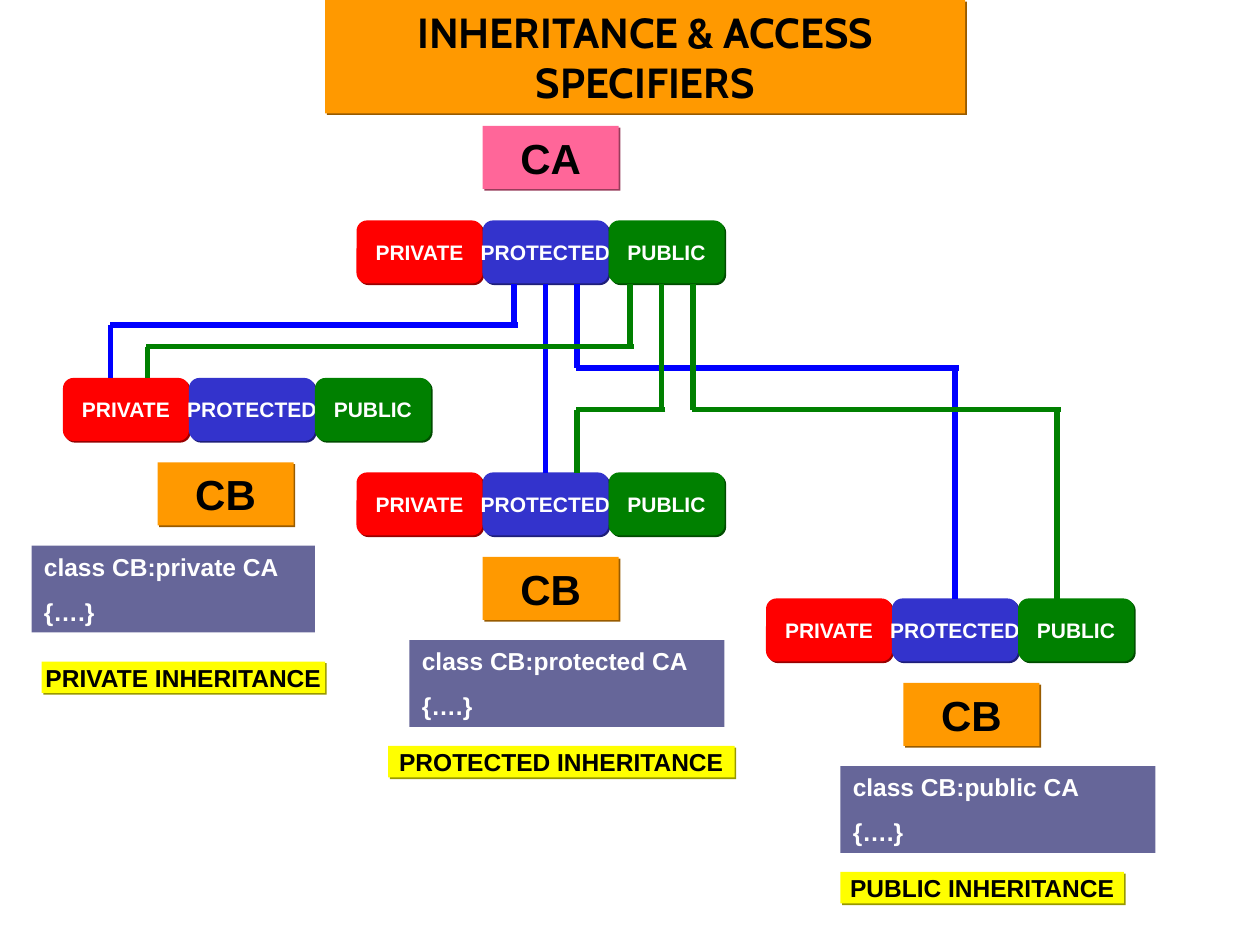
from lxml import etree
from pptx import Presentation
from pptx.dml.color import RGBColor
from pptx.enum.shapes import MSO_CONNECTOR, MSO_SHAPE
from pptx.enum.text import MSO_ANCHOR, MSO_AUTO_SIZE, PP_ALIGN
from pptx.oxml.ns import qn
from pptx.util import Inches, Pt

RECTANGLE = MSO_SHAPE.RECTANGLE
ROUNDED = MSO_SHAPE.ROUNDED_RECTANGLE
STRAIGHT = MSO_CONNECTOR.STRAIGHT
LEFT, CENTER = PP_ALIGN.LEFT, PP_ALIGN.CENTER
TOP, MIDDLE = MSO_ANCHOR.TOP, MSO_ANCHOR.MIDDLE
FIT_SHAPE = MSO_AUTO_SIZE.SHAPE_TO_FIT_TEXT
TOP_SIDE, BOTTOM_SIDE = 0, 2

COLORS = {
    "private": "FF0000", "protected": "3333CC", "public": "008000",
    "base": "FF6699", "derived": "FF9900", "code": "666699",
    "banner": "FFFF00", "protected link": "0000FF", "public link": "008000",
    "dark": "000000", "light": "FFFFFF",
}
ACCESS_WIDTHS = {"private": 1, "protected": 1, "public": 0.92}


def darken(color, factor=0.597):
    channels = [int(color[i:i + 2], 16) for i in (0, 2, 4)]
    return "".join(f"{int(channel * factor):02X}" for channel in channels)


def write_text(shape, text, *, size, color="dark", font="Arial", align=CENTER,
               anchor=MIDDLE, before=0, wrap=False, fit=False):
    frame = shape.text_frame
    frame.word_wrap = wrap
    frame.vertical_anchor = anchor
    if fit:
        frame.auto_size = FIT_SHAPE
    frame.text = text
    for paragraph in frame.paragraphs:
        paragraph.alignment = align
        paragraph.space_before = Pt(before)
        paragraph.font.size = Pt(size)
        paragraph.font.name = font
        paragraph.font.bold = True
        paragraph.font.color.rgb = RGBColor.from_string(COLORS[color])


class InheritanceDiagram:
    def __init__(self, slide):
        self.slide = slide

    def box(self, kind, left, top, width, height, fill, shadow=True):
        shape = self.slide.shapes.add_shape(
            kind, Inches(left), Inches(top), Inches(width), Inches(height))
        shape.fill.solid()
        shape.fill.fore_color.rgb = RGBColor.from_string(COLORS[fill])
        shape.line.fill.background()
        shape.shadow.inherit = False
        if shadow:
            effects = shape._element.spPr.find(qn("a:effectLst"))
            outer = etree.SubElement(effects, qn("a:outerShdw"), dist=str(Pt(1.4)),
                                     dir="2700000", algn="ctr", rotWithShape="0")
            etree.SubElement(outer, qn("a:srgbClr"), val=darken(COLORS[fill]))
        return shape

    def title(self, text):
        shape = self.box(RECTANGLE, 2.58, 0, 5.08, 0.9, "derived")
        write_text(shape, text, size=24, font="Cabin", anchor=TOP, before=15,
                   wrap=True, fit=True)

    def access_row(self, left, top):
        row = {}
        for access, width in ACCESS_WIDTHS.items():
            row[access] = self.box(ROUNDED, left, top, width, 0.5, access)
            write_text(row[access], access.upper(), size=12, color="light")
            left += width
        return row

    def class_name(self, text, left, top, fill):
        shape = self.box(RECTANGLE, left, top, 1.08, 0.5, fill)
        write_text(shape, text, size=24)

    def code(self, access, left, top, width):
        shape = self.box(RECTANGLE, left, top, width, 0.69, "code", shadow=False)
        write_text(shape, f"class CB:{access} CA\n{{….}}", size=14, color="light",
                   align=LEFT, anchor=TOP, before=8.8, wrap=True, fit=True)

    def banner(self, access, left, top, width):
        shape = self.box(RECTANGLE, left, top, width, 0.25, "banner")
        write_text(shape, f"{access.upper()} INHERITANCE", size=14)

    def line(self, start, end, color):
        connector = self.slide.shapes.add_connector(
            STRAIGHT, *(Inches(value) for value in (*start, *end)))
        connector.line.color.rgb = RGBColor.from_string(COLORS[color])
        connector.line.width = Pt(3)
        etree.SubElement(connector._element.spPr, qn("a:effectLst"))
        return connector

    def elbow(self, start_x, top, bend, end_x, bottom, color):
        """Down, across and down; the crossbar overhangs to close its corners."""
        self.line((start_x, top), (start_x, bend), color)
        self.line((max(start_x, end_x) + 0.03, bend),
                  (min(start_x, end_x) - 0.01, bend), color)
        return self.line((end_x, bend), (end_x, bottom), color)


def main():
    presentation = Presentation()
    presentation.slide_width, presentation.slide_height = Inches(10), Inches(7.5)
    slide = presentation.slides.add_slide(presentation.slide_layouts[6])
    diagram = InheritanceDiagram(slide)

    # Base class
    diagram.title("INHERITANCE & ACCESS SPECIFIERS")
    diagram.class_name("CA", 3.83, 1, "base")
    base = diagram.access_row(2.83, 1.75)

    # Derived classes: positions of row, name, code and banner
    derived = {}
    for access, row, name, code, banner in (
        ("private", (0.5, 3), (1.25, 3.67), (0.25, 4.33, 2.25), (0.33, 5.25, 2.25)),
        ("protected", (2.83, 3.75), (3.83, 4.42), (3.25, 5.08, 2.5), (3.08, 5.92, 2.75)),
        ("public", (6.08, 4.75), (7.17, 5.42), (6.67, 6.08, 2.5), (6.67, 6.92, 2.25)),
    ):
        derived[access] = diagram.access_row(*row)
        diagram.class_name("CB", *name, "derived")
        diagram.code(access, *code)
        diagram.banner(access, *banner)

    # Where protected members go
    diagram.elbow(4.08, 2.25, 2.58, 0.88, 3, "protected link")
    straight = diagram.line((4.33, 2.25), (4.33, 3.75), "protected link")
    straight.begin_connect(base["protected"], BOTTOM_SIDE)
    straight.end_connect(derived["protected"]["protected"], TOP_SIDE)
    drop = diagram.elbow(4.58, 2.25, 2.92, 7.58, 4.75, "protected link")
    drop.end_connect(derived["public"]["protected"], TOP_SIDE)

    # Where public members go
    for start_x, bend, end_x, bottom in (
        (5, 2.75, 1.17, 3), (5.25, 3.25, 4.58, 3.75), (5.5, 3.25, 8.39, 4.75),
    ):
        diagram.elbow(start_x, 2.25, bend, end_x, bottom, "public link")

    presentation.save("out.pptx")


if __name__ == "__main__":
    main()
